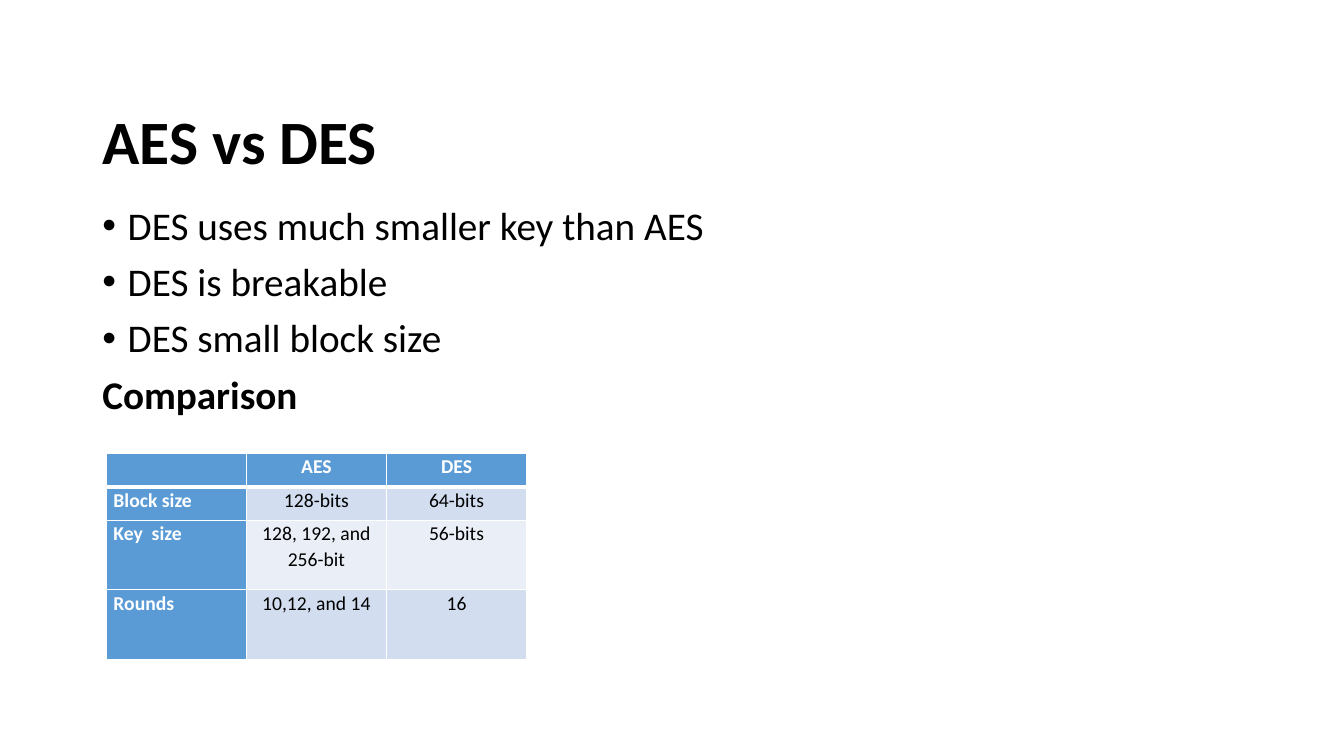
from dataclasses import dataclass

from lxml.etree import SubElement
from pptx import Presentation
from pptx.dml.color import RGBColor
from pptx.enum.text import MSO_ANCHOR, PP_ALIGN
from pptx.oxml.ns import qn
from pptx.util import Cm, Pt


@dataclass(frozen=True)
class Theme:
    face: str = "Calibri"
    ink: str = "000000"
    white: str = "FFFFFF"
    head: str = "5B9BD5"
    bands: tuple = ("D2DEEF", "EAEFF7")
    title: int = 44
    body: int = 28
    small: int = 14
    thin: int = 1
    thick: int = 3


class Deck:
    def __init__(self, theme):
        self.theme = theme
        self.show = Presentation()
        self.show.slide_width, self.show.slide_height = Cm(33.87), Cm(19.05)
        self.slide = self.show.slides.add_slide(self.show.slide_layouts[6])

    def style(self, para, size, color, bold=False):
        font = para.font
        font.name, font.size, font.bold = self.theme.face, Pt(size), bold
        font.color.rgb = RGBColor.from_string(color)

    def frame(self, left, top, width, height, anchor):
        box = self.slide.shapes.add_textbox(Cm(left), Cm(top), Cm(width), Cm(height))
        frame = box.text_frame
        frame.word_wrap = True
        frame.vertical_anchor = anchor
        return frame

    def title(self, text, *place):
        para = self.frame(*place, MSO_ANCHOR.MIDDLE).paragraphs[0]
        para.text = text
        para.line_spacing = 0.9
        self.style(para, self.theme.title, self.theme.ink, True)

    def bullet(self, para):
        props = para._p.get_or_add_pPr()
        props.set("marL", str(Cm(0.64)))
        props.set("indent", str(-Cm(0.64)))
        SubElement(props, qn("a:buFont"), typeface="Arial")
        SubElement(props, qn("a:buChar"), char="•")

    def body(self, points, label, *place):
        frame = self.frame(*place, MSO_ANCHOR.TOP)
        for i, text in enumerate([*points, label]):
            para = frame.add_paragraph() if i else frame.paragraphs[0]
            para.text = text
            last = i == len(points)
            if not last:
                self.bullet(para)
            para.line_spacing = 0.9
            para.space_before = Pt(10)
            self.style(para, self.theme.body, self.theme.ink, last)

    def border(self, cell, side, width):
        props = cell._tc.get_or_add_tcPr()
        line = SubElement(props, qn("a:ln" + side), w=str(Pt(width)))
        fill = SubElement(line, qn("a:solidFill"))
        SubElement(fill, qn("a:srgbClr"), val=self.theme.white)

    def cell(self, cell, text, row, col):
        theme = self.theme
        head = row == 0 or col == 0
        for side in "LRTB":
            heavy = (row, side) in ((0, "B"), (1, "T"))
            self.border(cell, side, theme.thick if heavy else theme.thin)
        cell.fill.solid()
        color = theme.head if head else theme.bands[(row - 1) % 2]
        cell.fill.fore_color.rgb = RGBColor.from_string(color)
        cell.margin_left = cell.margin_right = Cm(0.18)
        cell.margin_top = cell.margin_bottom = 0
        para = cell.text_frame.paragraphs[0]
        if text:
            para.text = text
        para.alignment = PP_ALIGN.CENTER if col else PP_ALIGN.LEFT
        para.line_spacing = 1.07
        self.style(para, theme.small, theme.white if head else theme.ink, head)

    def table(self, data, left, top, width, heights):
        count = len(data[0])
        shape = self.slide.shapes.add_table(
            len(data), count, Cm(left), Cm(top), Cm(width * count), Cm(sum(heights)))
        grid = shape.table
        grid.first_row = grid.horz_banding = False
        for col in grid.columns:
            col.width = Cm(width)
        for r, (line, height) in enumerate(zip(data, heights)):
            grid.rows[r].height = Cm(height)
            for c, text in enumerate(line):
                self.cell(grid.cell(r, c), text, r, c)


def main():
    deck = Deck(Theme())
    deck.title("AES vs DES", 2.33, 1.8, 29.21, 3.68)
    points = ["DES uses much smaller key than AES", "DES is breakable", "DES small block size"]
    deck.body(points, "Comparison", 2.33, 5.07, 29.21, 12.09)
    data = [
        ("", "AES", "DES"),
        ("Block size", "128-bits", "64-bits"),
        ("Key  size", "128, 192, and 256-bit", "56-bits"),
        ("Rounds", "10,12, and 14", "16"),
    ]
    deck.table(data, 2.68, 11.43, 3.53, (0.84, 0.84, 1.75, 1.75))
    deck.show.save("out.pptx")


if __name__ == "__main__":
    main()
